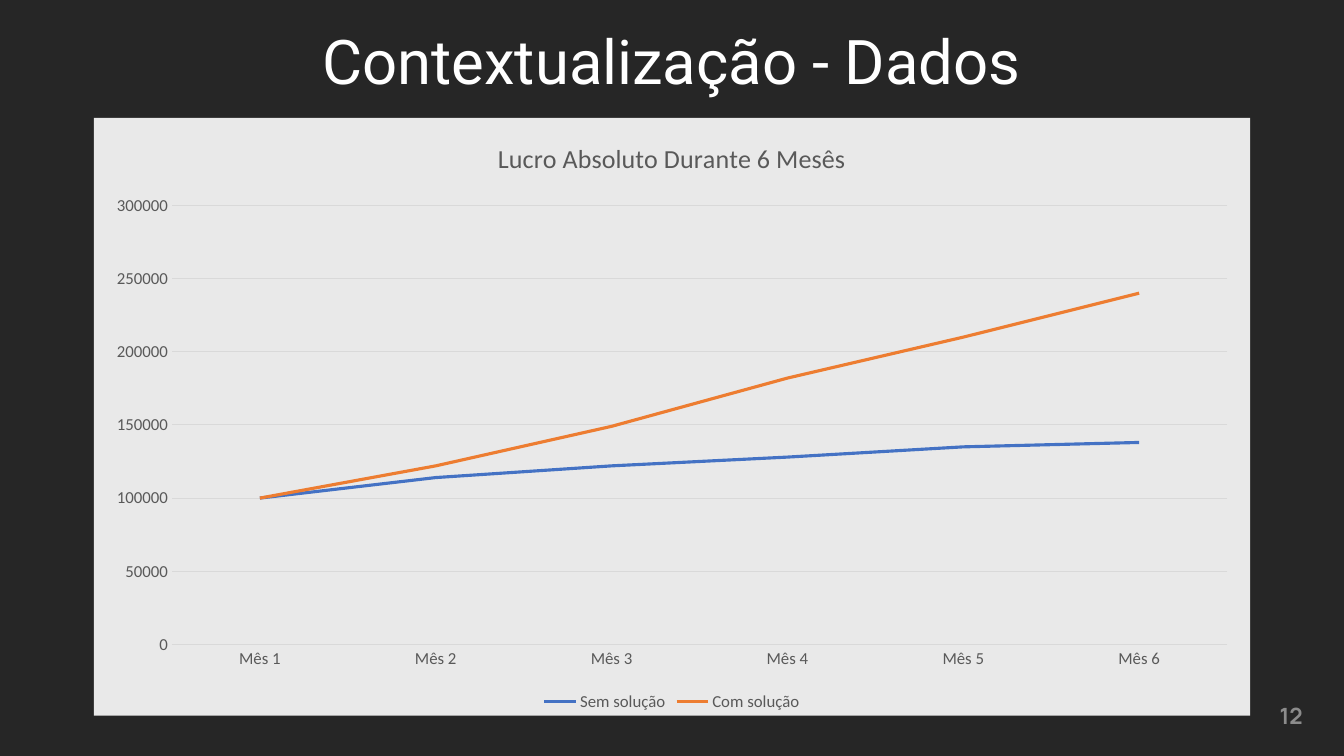
from lxml.etree import SubElement
from pptx import Presentation
from pptx.chart.data import CategoryChartData
from pptx.dml.color import RGBColor
from pptx.enum.chart import XL_CHART_TYPE, XL_LEGEND_POSITION, XL_MARKER_STYLE, XL_TICK_MARK
from pptx.enum.text import MSO_ANCHOR, PP_ALIGN
from pptx.oxml import parse_xml
from pptx.oxml.ns import nsdecls, qn
from pptx.util import Inches, Pt

COLORS = {
    "background": "262626", "title": "FFFFFF", "number": "8C8C8C",
    "panel": "E9E9E9", "label": "595959", "grid": "D9D9D9",
    "without": "4472C4", "with": "ED7D31",
}
MONTHS = [f"Mês {n}" for n in range(1, 7)]
PROFITS = [
    ("Sem solução", "without", (100000, 114000, 122000, 128000, 135000, 138000)),
    ("Com solução", "with", (100000, 122000, 149000, 182000, 210000, 240000)),
]


class SlideBuilder:
    """Holds the palette and the current slide, and adds styled elements to it."""

    def __init__(self, prs, colors):
        self.colors = colors
        self.slide = prs.slides.add_slide(prs.slide_layouts[6])
        fill = self.slide.background.fill
        fill.solid()
        fill.fore_color.rgb = self.rgb("background")

    def rgb(self, name):
        return RGBColor.from_string(self.colors[name])

    def style_font(self, font, name, size, color, bold=False):
        font.name = name
        font.size = Pt(size)
        font.bold = bold
        font.color.rgb = self.rgb(color)

    def style_line(self, line, color, width):
        line.color.rgb = self.rgb(color)
        line.width = Pt(width)

    def text(self, box, text, font, size, color, align, bold=False, spacing=None):
        tf = self.slide.shapes.add_textbox(*map(Inches, box)).text_frame
        tf.word_wrap = True
        tf.vertical_anchor = MSO_ANCHOR.MIDDLE
        p = tf.paragraphs[0]
        p.text = text
        p.alignment = align
        p.line_spacing = spacing
        self.style_font(p.runs[0].font, font, size, color, bold)

    def line_chart(self, box, title, categories, series):
        data = CategoryChartData()
        data.categories = categories
        for name, _, values in series:
            data.add_series(name, values)
        frame = self.slide.shapes.add_chart(XL_CHART_TYPE.LINE, *map(Inches, box), data)
        chart = frame.chart
        self.style_font(chart.font, "Calibri", 12, "label")
        self.fill_chart(chart)

        chart.has_title = True
        tf = chart.chart_title.text_frame
        tf.text = title
        self.style_font(tf.paragraphs[0].runs[0].font, "Calibri", 18.6, "label")
        chart.chart_title.include_in_layout = False

        chart.has_legend = True
        chart.legend.position = XL_LEGEND_POSITION.BOTTOM
        chart.legend.include_in_layout = False
        self.style_font(chart.legend.font, "Calibri", 12, "label")

        for axis in (chart.category_axis, chart.value_axis):
            axis.major_tick_mark = XL_TICK_MARK.NONE
            axis.minor_tick_mark = XL_TICK_MARK.NONE
            self.style_font(axis.tick_labels.font, "Calibri", 12, "label")
        self.style_line(chart.category_axis.format.line, "grid", 0.75)
        axis = chart.value_axis
        axis.format.line.fill.background()
        axis.minimum_scale, axis.maximum_scale, axis.major_unit = 0, 300000, 50000
        self.style_line(axis.major_gridlines.format.line, "grid", 0.75)

        plot = chart.plots[0]
        plot.vary_by_categories = False
        for line, (_, color, _) in zip(plot.series, series):
            line.smooth = False
            line.marker.style = XL_MARKER_STYLE.NONE
            self.style_line(line.format.line, color, 2.25)

    def fill_chart(self, chart):
        sp_pr = parse_xml(f"<c:spPr {nsdecls('c', 'a')}/>")
        fill = SubElement(sp_pr, qn("a:solidFill"))
        SubElement(fill, qn("a:srgbClr"), val=self.colors["panel"])
        SubElement(SubElement(sp_pr, qn("a:ln")), qn("a:noFill"))
        chart.element.find(qn("c:chart")).addnext(sp_pr)


def main():
    prs = Presentation()
    prs.slide_width, prs.slide_height = Inches(13.33), Inches(7.5)
    s = SlideBuilder(prs, COLORS)
    s.text((0, 0.2, 13.33, 0.88), "Contextualização\u00a0- Dados".replace("\u00a0", " "),
           "Roboto", 44, "title", PP_ALIGN.CENTER, spacing=0.9)
    s.text((10.02, 6.9, 3, 0.4), "12", "Manrope", 16, "number", PP_ALIGN.RIGHT, bold=True)
    s.line_chart((0.93, 1.17, 11.47, 5.93), "Lucro Absoluto Durante 6 Mesês", MONTHS, PROFITS)
    prs.save("out.pptx")


if __name__ == "__main__":
    main()
